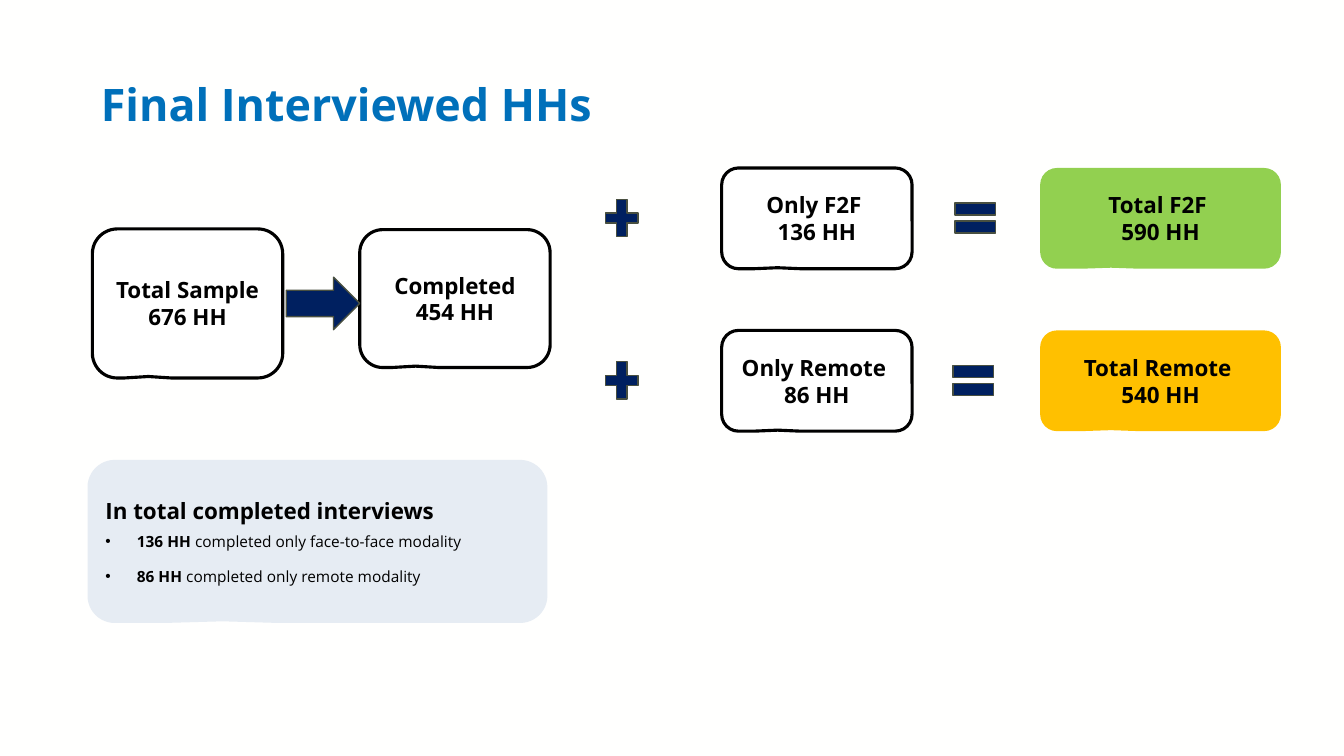
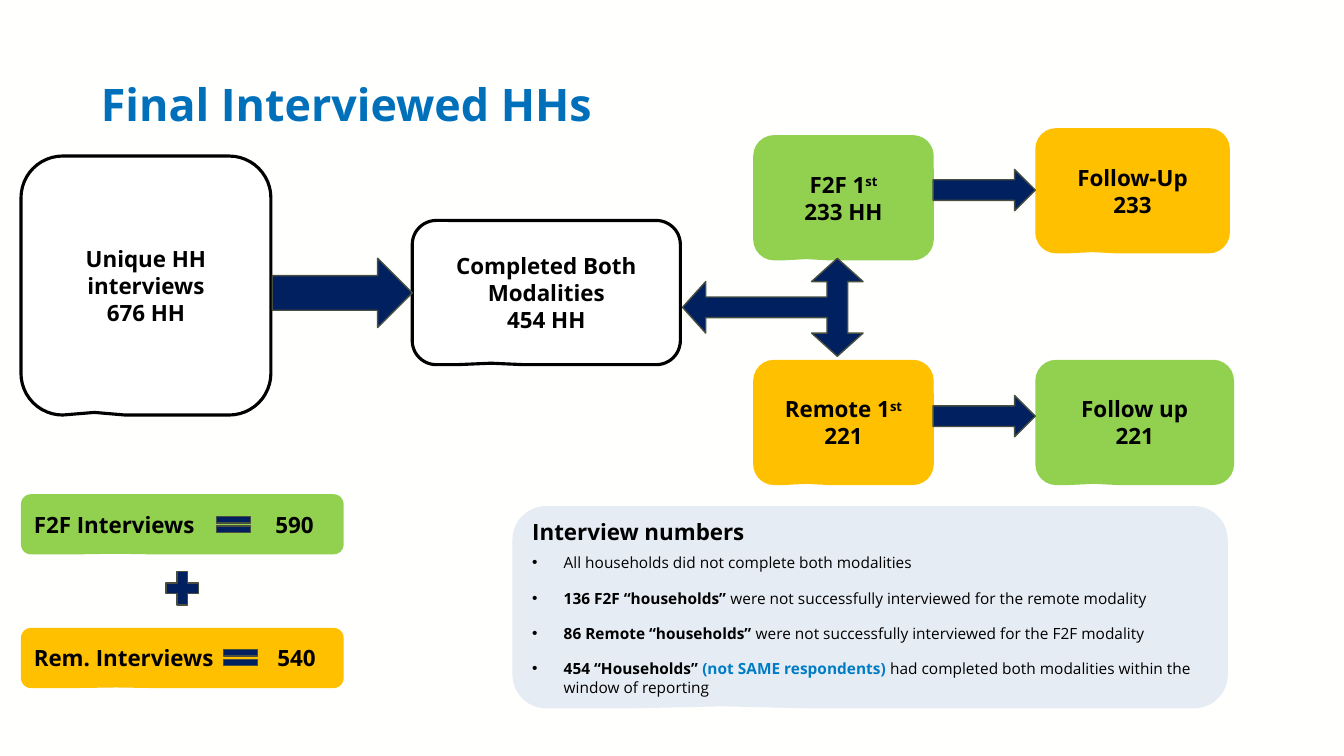
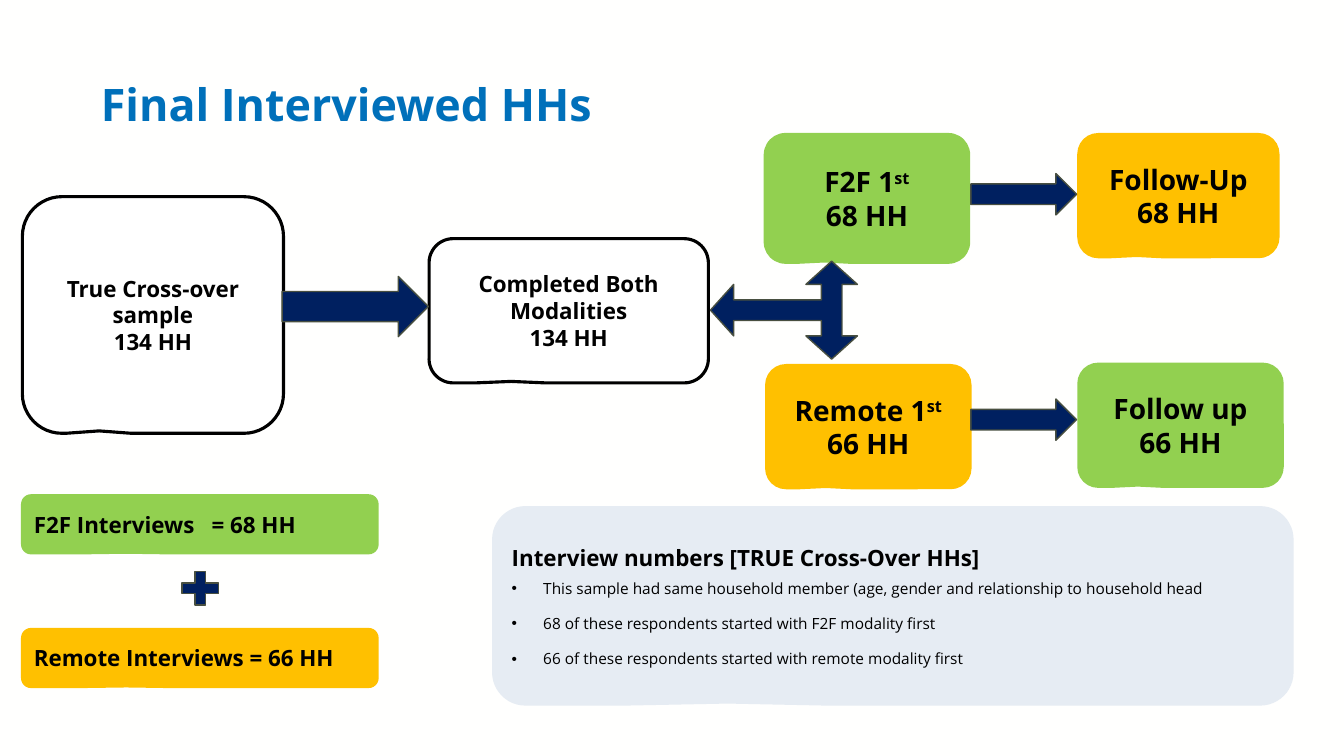
import pptx
import pptx.util
import pptx.dml.color
import pptx.enum.shapes
import pptx.enum.text
import lxml.etree
from pptx.oxml.ns import qn

Pt = pptx.util.Pt
KIND = pptx.enum.shapes.MSO_SHAPE
ALIGN = pptx.enum.text.PP_ALIGN
ANCHOR = pptx.enum.text.MSO_ANCHOR

FONT = "Open Sans"
COLORS = {
    "page": "FFFFFE", "title": "0070BA", "text": "000000", "accent": "007CC5",
    "white": "FFFFFF", "green": "92D050", "amber": "FFC000", "panel": "E6ECF3",
    "navy": "002060", "edge": "484F40",
}
TITLE = "Final Interviewed HHs"
TITLE_AT = (65, 48, 830, 49)
CALLOUT_ADJUST = (-0.206, 0.49, 0.167)
SPLIT_ADJUST = (0.211, 0.263, 0.254)
BULLET_INDENT = 22.5
BAR_LEFT, BAR_HEIGHT = 15, 43
BAR_TOPS = (353, 448.5)

PLAIN = {"bold": False}
ACCENT = {"color": "accent"}
RAISED = {"raised": True}
F2F_FIRST = [("F2F 1", {}), ("st", RAISED)]
REMOTE_FIRST = [("Remote 1", {}), ("st", RAISED)]

ROW_TOPS = (120, 236)
ROWS = [
    ("Only F2F ", "136 HH", "Total F2F ", "590 HH", "green", 677),
    ("Only Remote ", "86 HH", "Total Remote ", "540 HH", "amber", 675.5),
]

SUMMARY = {
    "cards": [
        (["Total Sample", "676 HH"], (66, 163.5, 136, 106.5), "white"),
        (["Completed", "454 HH"], (257, 164, 136, 98.5), "white"),
    ],
    "signs": [(KIND.RIGHT_ARROW, (204.5, 198, 52.5, 37.5))],
    "heading": "In total completed interviews",
    "bullets": [
        [("136 HH ", {}), ("completed only face-to-face modality", PLAIN)],
        [("86 HH ", {}), ("completed only remote modality", PLAIN)],
    ],
    "panel": (62.5, 328.5, 328.5, 116.5),
}
for top, (only, only_count, total, total_count, color, equal_left) in zip(ROW_TOPS, ROWS):
    SUMMARY["cards"] += [
        ([only, only_count], (515.5, top, 136, 72), "white"),
        ([total, total_count], (743, top, 172, 72), color),
    ]
    SUMMARY["signs"] += [
        (KIND.MATH_PLUS, (428.5, top + 17.5, 31.5, 36.5)),
        (KIND.MATH_EQUAL, (equal_left, top + 17.5, 39.5, 36.5)),
    ]

ALL_INTERVIEWS = {
    "cards": [
        (["Unique HH interviews", "676 HH"], (15, 111.5, 178.5, 185), "white"),
        (["Completed Both Modalities", "454 HH"], (294.5, 157.5, 191.5, 103), "white"),
        ([F2F_FIRST, "233 HH"], (538, 96.5, 129, 89.5), "green"),
        ([REMOTE_FIRST, "221"], (538, 257, 129, 89.5), "amber"),
        (["Follow up", "221"], (739.5, 257, 142, 89.5), "green"),
        (["Follow-Up", "233"], (739.5, 91.5, 139, 89.5), "amber"),
    ],
    "bars": [("F2F Interviews\t590", "green", 172.5), ("Rem. Interviews\t540", "amber", 174)],
    "bar_width": 230.5,
    "signs": [
        (KIND.RIGHT_ARROW, (194.5, 184.5, 100, 49.5)),
        (KIND.RIGHT_ARROW, (666.5, 121, 73, 29.5)),
        (KIND.RIGHT_ARROW, (666.5, 282.5, 73, 29.5)),
        (KIND.LEFT_RIGHT_UP_ARROW, (517, 155, 70, 129)),
        (KIND.MATH_PLUS, (114.5, 404, 31.5, 32.5)),
        (KIND.MATH_EQUAL, (150.5, 365, 33, 19.5)),
        (KIND.MATH_EQUAL, (155.5, 460, 33, 19.5)),
    ],
    "heading": "Interview numbers",
    "bullets": [
        [("All households did not complete both modalities", PLAIN)],
        [("136 F2F “households” ", {}),
         ("were not successfully interviewed for the remote modality", PLAIN)],
        [("86 Remote “households” ", {}),
         ("were not successfully interviewed for the F2F modality", PLAIN)],
        [("454 “Households” ", {}), ("(not SAME respondents) ", ACCENT),
         ("had completed both modalities within the window of reporting", PLAIN)],
    ],
    "panel": (366, 361.5, 511, 144.5),
}

TRUE_CROSSOVER = {
    "cards": [
        (["True Cross-over sample", "134 HH"], (16, 140.5, 186.5, 169), "white"),
        (["Completed Both Modalities", "134 HH"], (306.5, 170.5, 199.5, 103), "white"),
        ([F2F_FIRST, "68 HH"], (545.5, 95, 147.5, 93.5), "green"),
        ([REMOTE_FIRST, "66 HH"], (546.5, 260, 147.5, 89.5), "amber"),
        (["Follow up", "66 HH"], (769.5, 259, 147.5, 89.5), "green"),
        (["Follow-Up", "68 HH"], (769.5, 95, 144.5, 89.5), "amber"),
    ],
    "branch_size": 20,
    "bars": [("F2F Interviews\t= 68 HH", "green", 127), ("Remote Interviews = 66 HH", "amber", None)],
    "bar_width": 255.5,
    "signs": [
        (KIND.RIGHT_ARROW, (201.5, 197.5, 104.5, 43)),
        (KIND.RIGHT_ARROW, (693.5, 124, 75.5, 29.5)),
        (KIND.RIGHT_ARROW, (693.5, 285, 75.5, 29.5)),
        (KIND.LEFT_RIGHT_UP_ARROW, (525, 169, 70, 105)),
        (KIND.MATH_PLUS, (125.5, 404, 35.5, 32.5)),
    ],
    "heading": "Interview numbers [TRUE Cross-Over HHs]",
    "bullets": [
        [("This sample had same household member (age, gender and relationship "
          "to household head", PLAIN)],
        [("68 of these respondents started with F2F modality first", PLAIN)],
        [("66 of these respondents started with remote modality first", PLAIN)],
    ],
    "panel": (351.5, 361.5, 572.5, 142.5),
}


def rgb(name):
    return pptx.dml.color.RGBColor.from_string(COLORS[name])


def add_text(frame, text, first=False, size=16, color="text", align=ALIGN.LEFT,
             bullet=False, tab=None, spacing=None):
    para = frame.paragraphs[0] if first else frame.add_paragraph()
    para.alignment = align
    if spacing:
        para.line_spacing = spacing
    properties = para._p.get_or_add_pPr()
    if bullet:
        para.space_before = para.space_after = Pt(6)
        properties.set("marL", str(Pt(BULLET_INDENT)))
        properties.set("indent", str(-Pt(BULLET_INDENT)))
        lxml.etree.SubElement(properties, qn("a:buFont"), typeface="Arial")
        lxml.etree.SubElement(properties, qn("a:buChar"), char="•")
    if tab:
        stops = lxml.etree.SubElement(properties, qn("a:tabLst"))
        lxml.etree.SubElement(stops, qn("a:tab"), pos=str(Pt(tab)), algn="l")
    for words, look in [(text, {})] if isinstance(text, str) else text:
        span = para.add_run()
        span.text = words
        span.font.name = FONT
        span.font.size = Pt(size)
        span.font.bold = look.get("bold", True)
        span.font.color.rgb = rgb(look.get("color", color))
        if look.get("raised"):
            span._r.get_or_add_rPr().set("baseline", "30000")


def add_box(page, kind, at, fill, edge=None, width=1, adjust=()):
    box = page.shapes.add_shape(kind, *map(Pt, at))
    box.shadow.inherit = False
    box.fill.solid()
    box.fill.fore_color.rgb = rgb(fill)
    if edge:
        box.line.color.rgb = rgb(edge)
        box.line.width = Pt(width)
    else:
        box.line.fill.background()
    for index, value in enumerate(adjust):
        box.adjustments[index] = value
    return box


def add_callout(page, at, fill):
    edge = "text" if fill == "white" else None
    box = add_box(page, KIND.ROUNDED_RECTANGULAR_CALLOUT, at, fill, edge, 2.25, CALLOUT_ADJUST)
    box.text_frame.word_wrap = True
    box.text_frame.vertical_anchor = ANCHOR.MIDDLE
    return box.text_frame


def add_title(page):
    frame = page.shapes.add_textbox(*map(Pt, TITLE_AT)).text_frame
    frame.word_wrap = True
    frame.vertical_anchor = ANCHOR.BOTTOM
    add_text(frame, TITLE, first=True, size=32, color="title", spacing=0.9)


def add_sign(page, kind, at):
    split = kind == KIND.LEFT_RIGHT_UP_ARROW
    sign = add_box(page, kind, at, "navy", "edge", adjust=SPLIT_ADJUST if split else ())
    if split:
        sign.rotation = 270


def build_page(deck, content):
    page = deck.slides.add_slide(deck.slide_layouts[6])
    add_title(page)
    for lines, at, fill in content["cards"]:
        frame = add_callout(page, at, fill)
        size = 16 if fill == "white" else content.get("branch_size", 16)
        for index, line in enumerate(lines):
            add_text(frame, line, first=index == 0, size=size, align=ALIGN.CENTER)
    for top, (label, fill, tab) in zip(BAR_TOPS, content.get("bars", [])):
        frame = add_callout(page, (BAR_LEFT, top, content["bar_width"], BAR_HEIGHT), fill)
        add_text(frame, label, first=True, tab=tab)
    for kind, at in content["signs"]:
        add_sign(page, kind, at)
    frame = add_callout(page, content["panel"], "panel")
    add_text(frame, content["heading"], first=True)
    for bullet in content["bullets"]:
        add_text(frame, bullet, size=11, bullet=True)


def main():
    deck = pptx.Presentation()
    deck.slide_width, deck.slide_height = Pt(960), Pt(540)
    background = deck.slide_master.background.fill
    background.solid()
    background.fore_color.rgb = rgb("page")
    for content in (SUMMARY, ALL_INTERVIEWS, TRUE_CROSSOVER):
        build_page(deck, content)
    deck.save("out.pptx")


if __name__ == "__main__":
    main()
